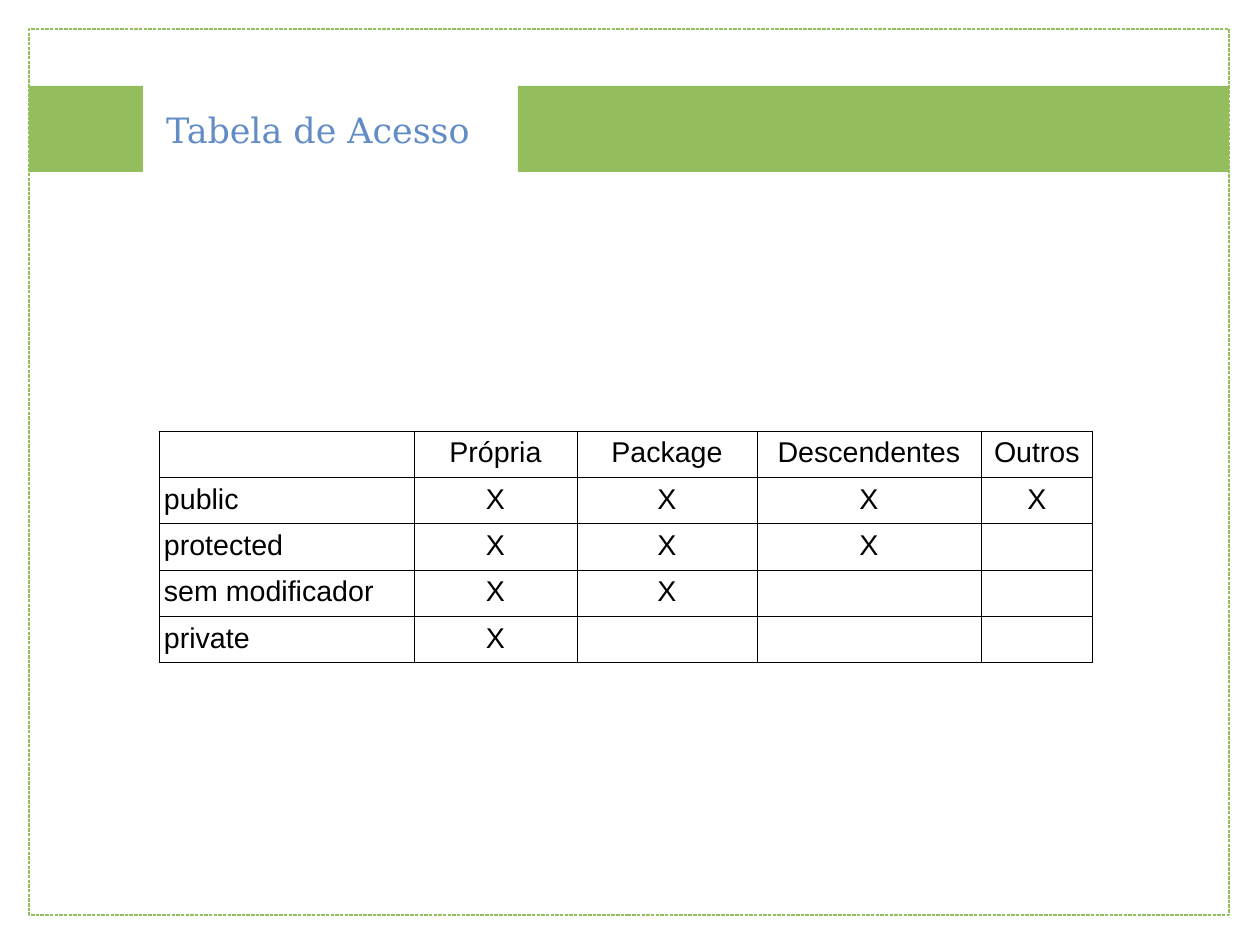
from dataclasses import dataclass

from lxml.etree import SubElement
from pptx import Presentation
from pptx.dml.color import RGBColor as Color
from pptx.enum.dml import MSO_LINE_DASH_STYLE as Dash
from pptx.enum.shapes import MSO_SHAPE as Shape
from pptx.enum.text import MSO_AUTO_SIZE as AutoSize
from pptx.enum.text import PP_ALIGN as Align
from pptx.oxml.ns import qn
from pptx.util import Emu, Pt

EMU_PER_PX = 8000


@dataclass(frozen=True)
class Theme:
    green: str = "94BD5E"
    title_blue: str = "628CC6"
    black: str = "000000"
    title_font: str = "DejaVu Serif"
    table_font: str = "Arial"
    title_size: int = 22
    table_size: int = 18
    border_width: float = 0.57


THEME = Theme()

COLUMNS = {"Própria": 163, "Package": 180, "Descendentes": 224, "Outros": 112}
LABEL_COLUMN_WIDTH = 255
# Each modifier reaches the first n columns.
ACCESS_REACH = {"public": 4, "protected": 3, "sem modificador": 2, "private": 1}


def px(length):
    return Emu(length * EMU_PER_PX)


def set_attributes(target, values):
    for name, value in values.items():
        setattr(target, name, value)


def write_text(paragraph, text, font_name, size, color):
    run = paragraph.add_run()
    run.text = text
    set_attributes(run.font, {"name": font_name, "size": Pt(size)})
    run.font.color.rgb = Color.from_string(color)


def add_rectangle(slide, box):
    rectangle = slide.shapes.add_shape(Shape.RECTANGLE, *map(px, box))
    rectangle.shadow.inherit = False
    return rectangle


def add_band(slide, box):
    band = add_rectangle(slide, box)
    band.fill.solid()
    band.fill.fore_color.rgb = Color.from_string(THEME.green)
    band.line.fill.background()


def add_frame(slide, box):
    frame = add_rectangle(slide, box)
    frame.fill.background()
    frame.line.color.rgb = Color.from_string(THEME.green)
    set_attributes(frame.line, {"width": Pt(0), "dash_style": Dash.SQUARE_DOT})


def add_title(slide, box, text):
    title = slide.shapes.add_textbox(*map(px, box))
    set_attributes(title.text_frame,
                   {"word_wrap": False, "auto_size": AutoSize.SHAPE_TO_FIT_TEXT})
    write_text(title.text_frame.paragraphs[0], text,
               THEME.title_font, THEME.title_size, THEME.title_blue)


def add_header(slide, box, title):
    """Place two bands at the ends of the box and the title in the gap."""
    left, top, width, height = box
    short_band, gap = 114, 375
    long_band = short_band + gap
    add_band(slide, (left + long_band, top, width - long_band, height))
    add_title(slide, (left + short_band + 12, top + 17, 327, 51), title)
    add_band(slide, (left, top, short_band, height))


def add_borders(cell):
    properties = cell._tc.get_or_add_tcPr()
    for side in ("a:lnL", "a:lnR", "a:lnT", "a:lnB"):
        line = SubElement(properties, qn(side), w=str(Pt(THEME.border_width)))
        fill = SubElement(line, qn("a:solidFill"))
        SubElement(fill, qn("a:srgbClr"), val=THEME.black)


def fill_cell(cell, text, alignment):
    add_borders(cell)
    cell.fill.background()
    set_attributes(cell, {"margin_left": px(5), "margin_right": px(5),
                          "margin_top": px(6), "margin_bottom": px(6)})
    paragraph = cell.text_frame.paragraphs[0]
    paragraph.alignment = alignment
    if text:
        write_text(paragraph, text, THEME.table_font, THEME.table_size, THEME.black)


def add_access_table(slide, box):
    rows = [["", *COLUMNS]]
    for modifier, reach in ACCESS_REACH.items():
        rows.append([modifier, *("X" if index < reach else ""
                                 for index in range(len(COLUMNS)))])
    widths = [LABEL_COLUMN_WIDTH, *COLUMNS.values()]
    table = slide.shapes.add_table(len(rows), len(widths), *map(px, box)).table
    set_attributes(table, {"first_row": False, "horz_banding": False})
    for column, width in zip(table.columns, widths):
        column.width = px(width)
    for row, texts in zip(table.rows, rows):
        row.height = px(box[3] // len(rows))
        for index, (cell, text) in enumerate(zip(row.cells, texts)):
            fill_cell(cell, text, Align.CENTER if index else Align.LEFT)


def main():
    presentation = Presentation()
    set_attributes(presentation, {"slide_width": px(1260), "slide_height": px(945)})
    slide = presentation.slides.add_slide(presentation.slide_layouts[6])
    add_frame(slide, (29, 29, 1200, 886))
    add_header(slide, (29, 86, 1200, 86), "Tabela de Acesso")
    add_access_table(slide, (159, 431, 934, 230))
    presentation.save("out.pptx")


if __name__ == "__main__":
    main()
